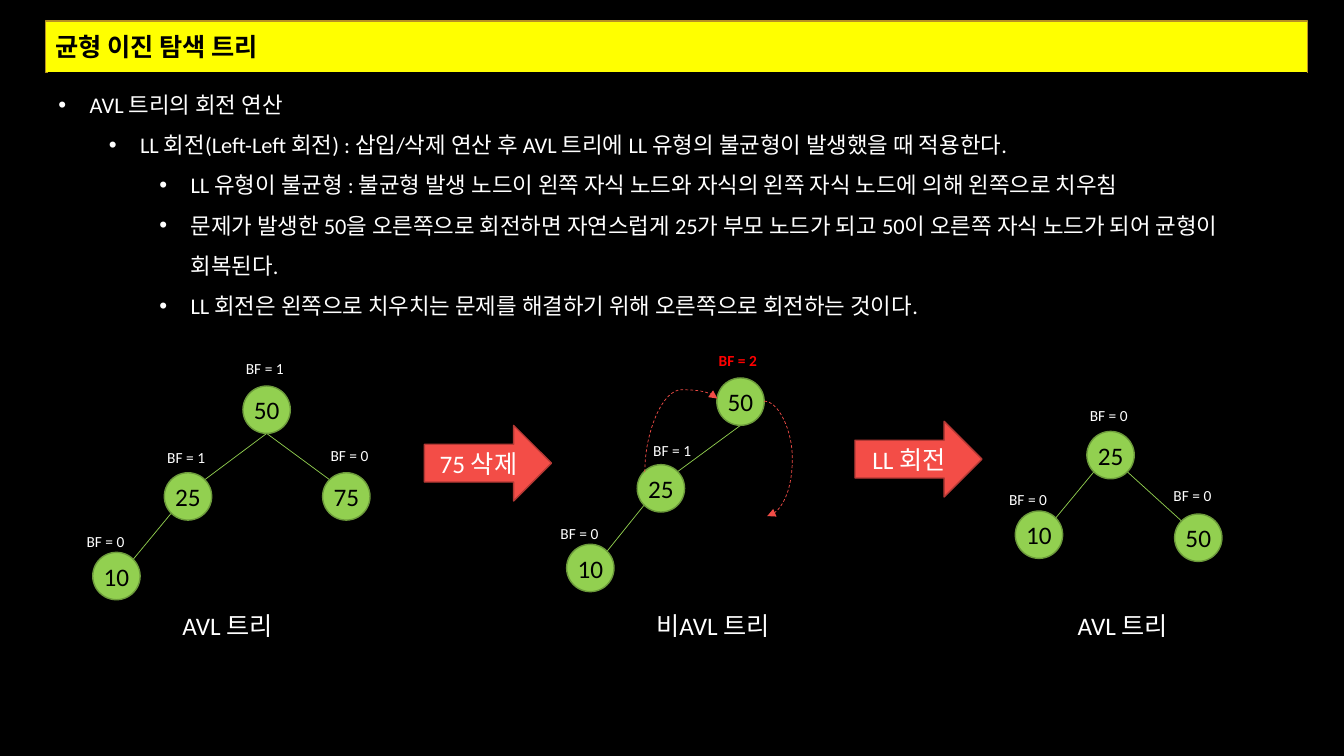
"""Build the slide on the LL rotation of an AVL tree."""
import math

import pptx
import pptx.dml.color
import pptx.enum.dml
import pptx.enum.shapes
import pptx.enum.text
import pptx.oxml.ns
import pptx.util
from lxml import etree

Inches, Pt = pptx.util.Inches, pptx.util.Pt
Shape = pptx.enum.shapes.MSO_SHAPE
Connector = pptx.enum.shapes.MSO_CONNECTOR
Align = pptx.enum.text.PP_ALIGN
Anchor = pptx.enum.text.MSO_ANCHOR
AutoSize = pptx.enum.text.MSO_AUTO_SIZE
qn = pptx.oxml.ns.qn

COLORS = {
    "black": "000000", "white": "FFFFFF", "yellow": "FFFF00", "gold": "B79024",
    "green": "92D050", "dark green": "6C9A3B", "coral": "F34D47",
    "dark coral": "B43935", "red": "FF0000",
}
FONT = "Calibri"
NODE_SIZE = 0.47

TITLE = "균형 이진 탐색 트리"
BULLETS = [
    (0, "AVL 트리의 회전 연산"),
    (1, "LL 회전(Left-Left 회전) : 삽입/삭제 연산 후 AVL 트리에 LL 유형의 불균형이 발생했을 때 적용한다."),
    (2, "LL 유형이 불균형 : 불균형 발생 노드이 왼쪽 자식 노드와 자식의 왼쪽 자식 노드에 의해 왼쪽으로 치우침"),
    (2, "문제가 발생한 50을 오른쪽으로 회전하면 자연스럽게 25가 부모 노드가 되고 50이 오른쪽 자식 노드가 되어 균형이 회복된다."),
    (2, "LL 회전은 왼쪽으로 치우치는 문제를 해결하기 위해 오른쪽으로 회전하는 것이다."),
]

# Node: key -> (left, top, balance factor, label left, label top)
# Edge: parent, side it leaves from, child, side it arrives at
TREES = [
    {
        "caption": ("AVL 트리", 1.71, 1.25),
        "nodes": {
            50: (2.41, 3.83, 1, 2.34, 3.51),
            25: (1.63, 4.69, 1, 1.56, 4.4),
            75: (3.2, 4.69, 0, 3.18, 4.38),
            10: (0.92, 5.48, 0, 0.76, 5.23),
        },
        "edges": [(50, "bottom", 25, "top right"), (50, "bottom", 75, "top left"),
                  (25, "bottom left", 10, "top right")],
    },
    {
        "caption": ("비AVL 트리", 6.41, 1.44),
        "nodes": {
            50: (7.11, 3.75, 2, 7.03, 3.43),
            25: (6.32, 4.61, 1, 6.38, 4.33),
            10: (5.62, 5.4, 0, 5.46, 5.15),
        },
        "edges": [(50, "bottom", 25, "top right"), (25, "bottom left", 10, "top right")],
    },
    {
        "caption": ("AVL 트리", 10.59, 1.25),
        "nodes": {
            50: (11.65, 5.1, 0, 11.54, 4.77),
            25: (10.78, 4.28, 0, 10.71, 3.98),
            10: (10.07, 5.07, 0, 9.91, 4.81),
        },
        "edges": [(25, "bottom right", 50, "top left"), (25, "bottom left", 10, "top right")],
    },
]
SIDE_ANGLES = {"bottom right": 45, "bottom": 90, "bottom left": 135,
               "top left": 225, "top right": 315}
STEPS = [("75 삭제", 4.21, 4.22), ("LL 회전", 8.48, 4.18)]
# Begin, end, bend as a share of the width, rotation in degrees
ROTATION_CURVES = [((7.58, 3.98), (7.61, 5.12), 9.33, 0),
                   ((7.12, 4.68), (6.39, 3.96), 1.12, 90)]


def color(name):
    return pptx.dml.color.RGBColor.from_string(COLORS[name])


def paint(shape, fill, line):
    shape.fill.solid()
    shape.fill.fore_color.rgb = color(fill)
    shape.line.color.rgb = color(line)
    shape.line.width = Pt(1)


def place(shape, left, top, width, height):
    shape.left, shape.top = Inches(left), Inches(top)
    shape.width, shape.height = Inches(width), Inches(height)


def write(para, text, size, name, bold=False):
    span = para.add_run()
    span.text = text
    span.font.name = FONT
    span.font.size = Pt(size)
    span.font.bold = bold
    span.font.color.rgb = color(name)


def add_label(slide, text, left, top, width, height, size, name="white", bold=False):
    box = slide.shapes.add_textbox(*map(Inches, (left, top, width, height)))
    box.text_frame.word_wrap = True
    box.text_frame.auto_size = AutoSize.SHAPE_TO_FIT_TEXT
    write(box.text_frame.paragraphs[0], text, size, name, bold)


def add_filled(slide, kind, text, box, fill, line, name, inset=None):
    shape = slide.shapes.add_shape(kind, *map(Inches, box))
    shape.shadow.inherit = False
    paint(shape, fill, line)
    frame = shape.text_frame
    frame.vertical_anchor = Anchor.MIDDLE
    if inset is not None:
        frame.margin_left = frame.margin_right = Inches(inset)
        frame.margin_top = frame.margin_bottom = Inches(inset)
        frame.word_wrap = False
    frame.paragraphs[0].alignment = Align.CENTER
    write(frame.paragraphs[0], text, 18, name)


def add_line(slide, kind, begin, end, name):
    line = slide.shapes.add_connector(kind, *map(Inches, begin + end))
    line.line.color.rgb = color(name)
    line.line.width = Pt(0.5)
    etree.SubElement(line._element.spPr, qn("a:effectLst"))
    return line


def add_curve(slide, begin, end, bend, degrees):
    curve = add_line(slide, Connector.CURVE, begin, end, "coral")
    curve.line.dash_style = pptx.enum.dml.MSO_LINE.DASH
    etree.SubElement(curve.line._get_or_add_ln(), qn("a:tailEnd"), type="triangle")
    properties = curve._element.spPr
    properties.find(qn("a:xfrm")).set("rot", str(degrees * 60000))
    geometry = properties.find(qn("a:prstGeom"))
    guides = geometry.find(qn("a:avLst"))
    if guides is None:
        guides = etree.SubElement(geometry, qn("a:avLst"))
    etree.SubElement(guides, qn("a:gd"), name="adj1", fmla=f"val {round(bend * 100000)}")


def side_point(node, side):
    radius, angle = NODE_SIZE / 2, math.radians(SIDE_ANGLES[side])
    return (node[0] + radius * (1 + math.cos(angle)),
            node[1] + radius * (1 + math.sin(angle)))


def add_tree(slide, tree):
    nodes = tree["nodes"]
    for parent, leave, child, arrive in tree["edges"]:
        add_line(slide, Connector.STRAIGHT, side_point(nodes[parent], leave),
                 side_point(nodes[child], arrive), "green")
    for key, (left, top, factor, label_left, label_top) in nodes.items():
        add_filled(slide, Shape.OVAL, str(key), (left, top, NODE_SIZE, NODE_SIZE),
                   "green", "dark green", "black", 0)
        unbalanced = factor > 1
        add_label(slide, f"BF = {factor}", label_left, label_top, 0.71, 0.29, 11,
                  "red" if unbalanced else "white", unbalanced)
    text, left, width = tree["caption"]
    add_label(slide, text, left, 6.01, width, 0.4, 18)


def fill_title(title):
    place(title, 0.45, 0.21, 12.52, 0.51)
    geometry = etree.SubElement(title._element.spPr, qn("a:prstGeom"), prst="roundRect")
    etree.SubElement(geometry, qn("a:avLst"))
    paint(title, "yellow", "gold")
    title.text_frame.vertical_anchor = Anchor.MIDDLE
    title.text_frame.auto_size = AutoSize.NONE
    para = title.text_frame.paragraphs[0]
    para.alignment = Align.LEFT
    write(para, TITLE, 18, "black", True)


def fill_body(body):
    place(body, 0.48, 0.72, 12.48, 6.46)
    paint(body, "black", "black")
    frame = body.text_frame
    frame.auto_size = AutoSize.NONE
    for index, (level, text) in enumerate(BULLETS):
        para = frame.add_paragraph() if index else frame.paragraphs[0]
        para.level = level
        para.line_spacing = 1.5
        para.space_before = Pt(0)
        properties = para._p.get_or_add_pPr()
        properties.set("marL", str(Inches(0.31 + 0.5 * level)))
        properties.set("indent", str(-Inches(0.31)))
        etree.SubElement(properties, qn("a:buFont"), typeface="Arial")
        etree.SubElement(properties, qn("a:buChar"), char="•")
        write(para, text, 16, "white")


def main():
    deck = pptx.Presentation()
    deck.slide_width, deck.slide_height = Inches(13.33), Inches(7.5)
    slide = deck.slides.add_slide(deck.slide_layouts[1])
    slide.background.fill.solid()
    slide.background.fill.fore_color.rgb = color("black")
    fill_title(slide.shapes.title)
    fill_body(slide.placeholders[1])
    for tree in TREES:
        add_tree(slide, tree)
    for text, left, top in STEPS:
        add_filled(slide, Shape.RIGHT_ARROW, text, (left, top, 1.26, 0.75),
                   "coral", "dark coral", "white")
    for curve in ROTATION_CURVES:
        add_curve(slide, *curve)
    deck.save("out.pptx")


if __name__ == "__main__":
    main()
